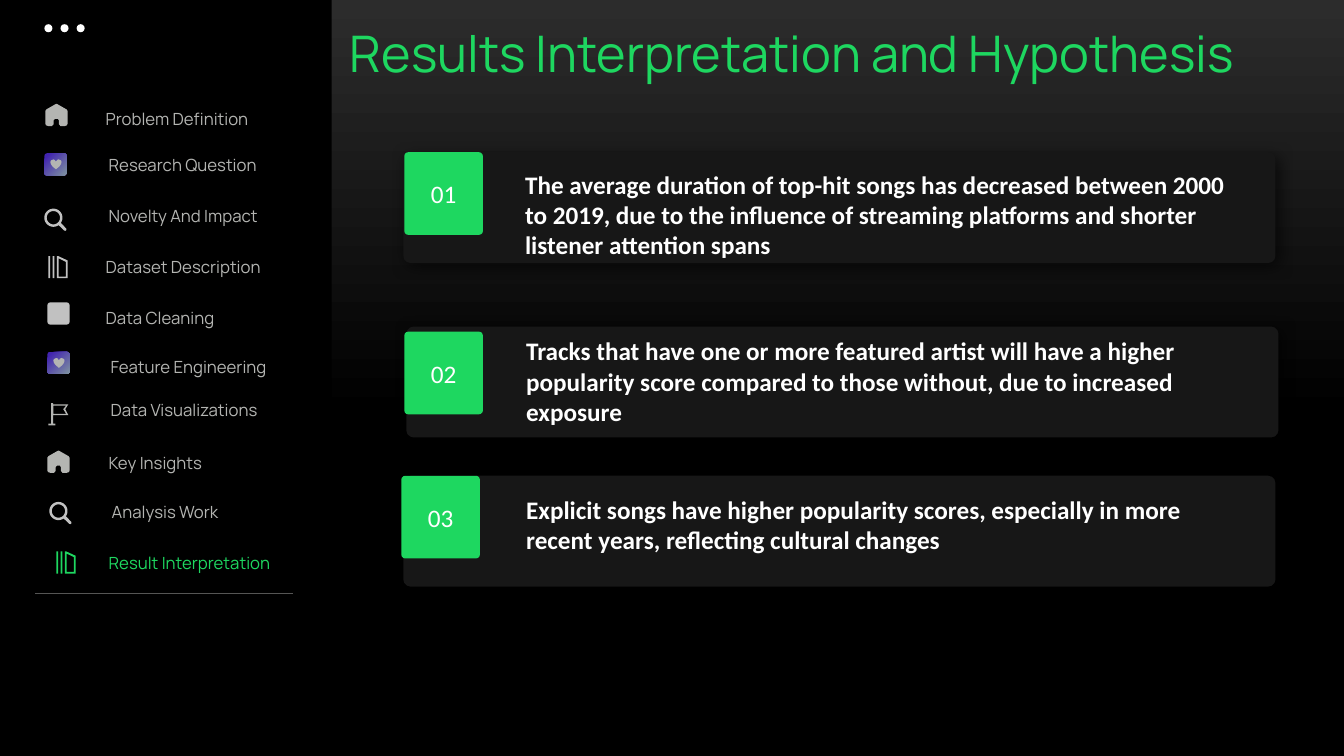
from math import cos, radians, sin

from lxml.etree import SubElement
from pptx import Presentation
from pptx.dml.color import RGBColor
from pptx.enum.shapes import MSO_CONNECTOR, MSO_SHAPE
from pptx.enum.text import MSO_ANCHOR, MSO_AUTO_SIZE, PP_ALIGN
from pptx.oxml.ns import qn
from pptx.util import Inches, Pt

COLORS = {
    "black": "000000", "charcoal": "2C2C2C", "card": "171717",
    "green": "1ED760", "white": "FFFFFF", "label": "B4B5B2",
    "icon": "C1C1C1", "rule": "555554", "violet": "4224B0", "steel": "7F93A0",
}
ICON = 0.22


def arc(cx, cy, r, start, end, step=10):
    return [(cx + r * cos(radians(a)), cy + r * sin(radians(a)))
            for a in range(start, end + 1, step)]


def box(x, y, w, h):
    return [(x, y), (x + w, y), (x + w, y + h), (x, y + h)]


# Icon outlines as lists of contours in a unit square
OUTLINES = {
    "home": [[(0, .32), (.05, .25), (.45, .02), (.5, 0), (.55, .02), (.95, .25),
              (1, .32), (1, .9), (.97, .97), (.88, 1), (.68, 1), (.61, .92),
              (.61, .75), (.57, .68), (.43, .68), (.37, .75), (.37, .92),
              (.3, 1), (.12, 1), (.03, .97), (0, .9)]],
    "search": [arc(.41, .41, .41, 55, 395)
               + [(.99, .9), (1, .96), (.96, 1), (.9, .99)],
               arc(.41, .41, .3, 0, 350)],
    "library": [box(0, 0, .08, 1), box(.19, 0, .08, 1),
                [(.38, 0), (.44, 0), (.87, .2), (.87, 1), (.38, 1)],
                [(.46, .1), (.79, .26), (.79, .93), (.46, .93)]],
    "flag": [[(.13, 0), (.22, 0), (.22, .05), (.9, .05), (.76, .27), (.9, .54),
              (.22, .54), (.22, .92), (.32, .92), (.32, 1), (0, 1), (0, .92),
              (.13, .92)],
             [(.23, .11), (.8, .11), (.67, .27), (.8, .48), (.23, .48)]],
}

# label, label x, label y, icon, icon x, icon y, icon colour
MENU = [
    ("Problem Definition", 0.95, 1.03, "home", 0.45, 1.03, "label"),
    ("Research Question", 0.98, 1.49, "heart", 0.44, 1.52, "label"),
    ("Novelty And Impact", 0.98, 1.99, "search", 0.44, 2.07, "icon"),
    ("Dataset Description", 0.95, 2.5, "library", 0.48, 2.54, "icon"),
    ("Data Cleaning", 0.95, 3, "square", 0.47, 3, "icon"),
    ("Feature Engineering", 1, 3.49, "heart", 0.47, 3.49, "label"),
    ("Data Visualizations", 1, 3.92, "flag", 0.48, 4, "label"),
    ("Key Insights", 0.98, 4.44, "home", 0.47, 4.47, "label"),
    ("Analysis Work", 1.01, 4.93, "search", 0.49, 4.98, "icon"),
    ("Result Interpretation", 0.98, 5.43, "library", 0.56, 5.47, "green"),
]

# text, card x, card y, badge dx, badge dy, text dx, text dy, text width
CARDS = [
    ("The average duration of top-hit songs has decreased between 2000 to 2019, "
     "due to the influence of streaming platforms and shorter listener attention "
     "spans", 4, 1.51, 0.01, 0, 1.11, 0.12, 7.3),
    ("Tracks that have one or more featured artist will have a higher popularity "
     "score compared to those without, due to increased exposure",
     4.03, 3.24, -0.02, 0.05, 1.09, 0.04, 7.19),
    ("Explicit songs have higher popularity scores, especially in more recent "
     "years, reflecting cultural changes", 4, 4.72, -0.02, 0, 1.12, 0.13, 6.85),
]


def rgb(name):
    return RGBColor.from_string(COLORS[name])


def paint(sp, color):
    sp.shadow.inherit = False
    sp.fill.solid()
    sp.fill.fore_color.rgb = rgb(color)
    sp.line.fill.background()
    return sp


def set_gradient(fill, stops, angle):
    """Apply two (position, colour) stops, angle counter-clockwise."""
    fill.gradient()
    fill.gradient_angle = angle
    for stop, (position, color) in zip(fill.gradient_stops, stops):
        stop.position = position
        stop.color.rgb = rgb(color)


def add_block(s, kind, x, y, w, h, color, radius=None):
    sp = s.shapes.add_shape(kind, Inches(x), Inches(y), Inches(w), Inches(h))
    if radius is not None:
        sp.adjustments[0] = radius
    return paint(sp, color)


def write(tf, text, size, font, color, bold=False, align=PP_ALIGN.LEFT):
    tf.word_wrap = True
    p = tf.paragraphs[0]
    p.alignment = align
    r = p.add_run()
    r.text = text
    r.font.size = Pt(size)
    r.font.name = font
    r.font.bold = bold
    r.font.color.rgb = rgb(color)


def add_text(s, x, y, w, h, *style, **options):
    sp = s.shapes.add_textbox(Inches(x), Inches(y), Inches(w), Inches(h))
    write(sp.text_frame, *style, **options)


def add_icon(s, name, x, y, color):
    if name in ("square", "heart"):
        tile = add_block(s, MSO_SHAPE.ROUNDED_RECTANGLE, x, y, ICON, ICON, color, 0.126)
        if name == "heart":
            set_gradient(tile.fill, [(0.11, "violet"), (1, "steel")], 315)
            add_block(s, MSO_SHAPE.HEART, x + 0.06, y + 0.06, 0.11, 0.1, color)
        return
    contours = [[(Inches(x + ICON * px), Inches(y + ICON * py)) for px, py in c]
                for c in OUTLINES[name]]
    first, *others = contours
    builder = s.shapes.build_freeform(*first[0])
    builder.add_line_segments(first[1:])
    for contour in others:
        builder.move_to(*contour[0])
        builder.add_line_segments(contour[1:])
    paint(builder.convert_to_shape(), color)


def add_sidebar(s, x, y, w, h):
    add_block(s, MSO_SHAPE.RECTANGLE, x, y, w, h, "black")
    for i in range(3):
        add_block(s, MSO_SHAPE.OVAL, x + 0.44 + 0.16 * i, y + 0.24, 0.08, 0.08, "white")
    for label, lx, ly, icon, ix, iy, color in MENU:
        add_icon(s, icon, x + ix, y + iy, color)
        add_text(s, x + lx, y + ly, 2.17, 0.3, label, 12, "Manrope",
                 "green" if color == "green" else "label")
    rule = s.shapes.add_connector(MSO_CONNECTOR.STRAIGHT, Inches(x + 0.35),
                                  Inches(y + 5.89), Inches(x + 2.91), Inches(y + 5.89))
    rule.line.color.rgb = rgb("rule")
    rule.line.width = Pt(0.5)
    SubElement(rule._element.spPr, qn("a:effectLst"))


def add_card_shadow(sp):
    effects = sp._element.spPr.find(qn("a:effectLst"))
    shadow = SubElement(effects, qn("a:outerShdw"), blurRad=str(Pt(10)),
                        dist=str(Pt(3)), dir="2700000", algn="tl", rotWithShape="0")
    color = SubElement(shadow, qn("a:srgbClr"), val=COLORS["black"])
    SubElement(color, qn("a:alpha"), val="60000")


def add_card(s, number, text, x, y, badge_dx, badge_dy, text_dx, text_dy, text_w):
    card = add_block(s, MSO_SHAPE.ROUNDED_RECTANGLE, x, y, 8.65, 1.1, "card", 0.066)
    add_card_shadow(card)
    badge = add_block(s, MSO_SHAPE.ROUNDED_RECTANGLE, x + badge_dx, y + badge_dy,
                      0.78, 0.82, "green", 0.05)
    badge.text_frame.vertical_anchor = MSO_ANCHOR.MIDDLE
    write(badge.text_frame, f"{number:02}", 18, "Calibri", "white",
          align=PP_ALIGN.CENTER)
    add_text(s, x + text_dx, y + text_dy, text_w, 1.01, text, 18, "Calibri", "white",
             bold=True)


def add_title(s, x, y, w, h):
    title = s.shapes.title
    title.left, title.top, title.width, title.height = map(Inches, (x, y, w, h))
    tf = title.text_frame
    tf.auto_size = MSO_AUTO_SIZE.NONE
    tf.vertical_anchor = MSO_ANCHOR.TOP
    write(tf, "Results Interpretation and Hypothesis", 36, "Manrope", "green")


def main():
    prs = Presentation()
    prs.slide_width, prs.slide_height = Inches(13.33), Inches(7.5)
    s = prs.slides.add_slide(prs.slide_layouts[5])
    set_gradient(s.background.fill, [(0, "charcoal"), (0.55, "black")], 270)
    add_sidebar(s, 0, 0, 3.29, 7.5)
    add_title(s, 3.37, 0.17, 9.75, 0.71)
    for number, card in enumerate(CARDS, 1):
        add_card(s, number, *card)
    prs.save("out.pptx")


if __name__ == "__main__":
    main()
